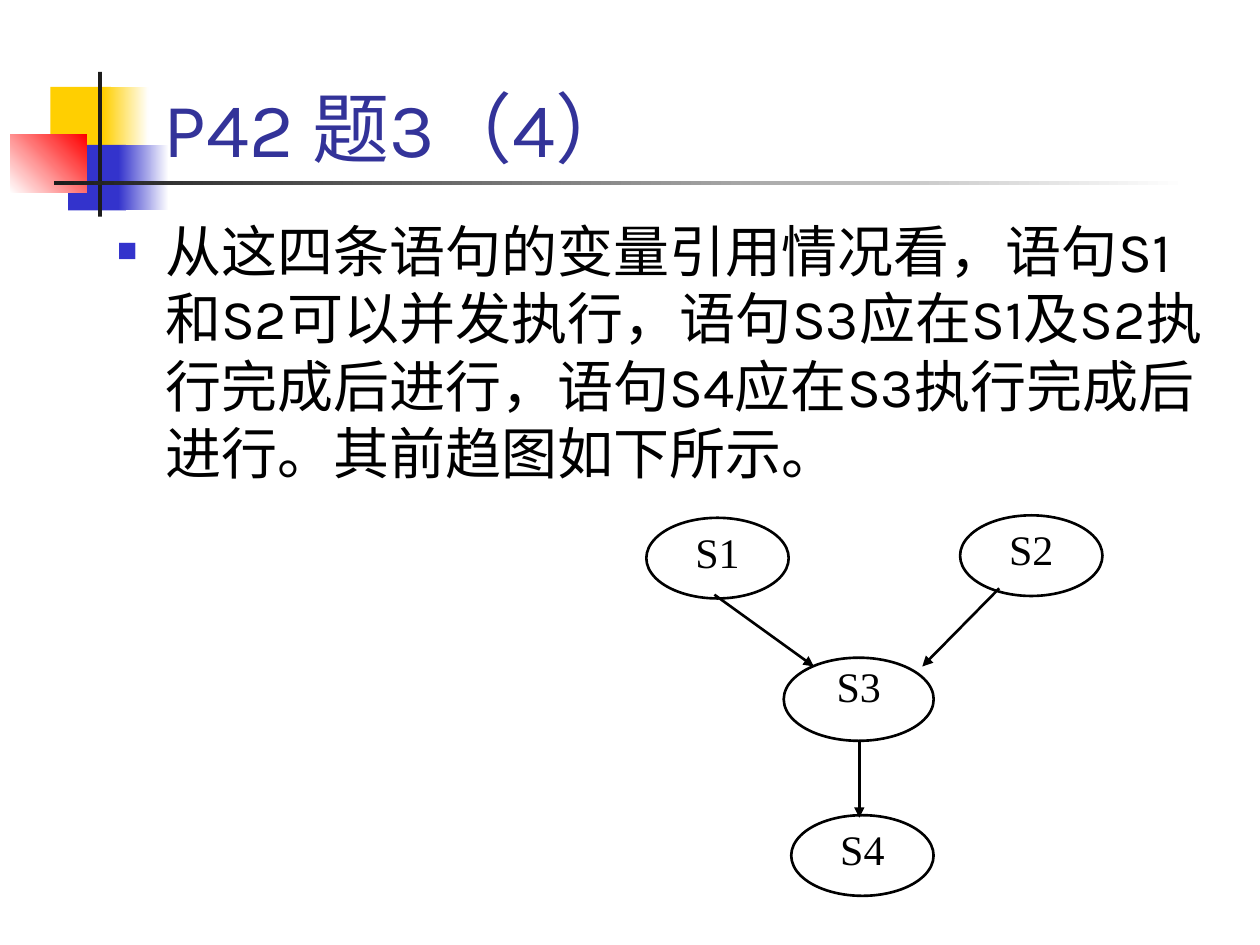
from dataclasses import dataclass

from lxml import etree
from pptx import Presentation
from pptx import util as u
from pptx.dml.color import RGBColor
from pptx.enum import shapes, text
from pptx.oxml import ns


@dataclass(frozen=True)
class Theme:
    black: str = "000000"
    white: str = "FFFFFF"
    title: str = "333399"
    blue: str = "3333CC"
    yellow: str = "FFCF01"
    red: str = "FF0000"
    rule: str = "1C1C1C"
    text_font: str = "Karla"
    node_font: str = "Times New Roman"
    title_size: int = 44
    body_size: int = 32
    node_size: int = 24
    line_width: float = 1.5


THEME = Theme()
COLUMNS, ROWS = 100, 75


def add_element(parent, tag, **attributes):
    return etree.SubElement(parent, ns.qn(tag), attributes)


def write_text(frame, content, *, font, size, color, align=text.PP_ALIGN.LEFT,
               anchor=text.MSO_ANCHOR.TOP, line_spacing=None, space_before=0):
    """Write one formatted paragraph and return it."""
    frame.word_wrap = True
    frame.auto_size = text.MSO_AUTO_SIZE.NONE
    frame.vertical_anchor = anchor
    paragraph = frame.paragraphs[0]
    paragraph.alignment = align
    paragraph.line_spacing = line_spacing
    paragraph.space_before = u.Pt(space_before)
    run = paragraph.add_run()
    run.text = content
    run.font.name = font
    run.font.size = u.Pt(size)
    run.font.color.rgb = RGBColor.from_string(color)
    return paragraph


class SlideBuilder:
    def __init__(self, presentation, theme):
        self.theme = theme
        self.column = presentation.slide_width / COLUMNS
        self.row = presentation.slide_height / ROWS
        self.slide = presentation.slides.add_slide(presentation.slide_layouts[1])

    def place(self, left, top, width, height):
        """Turn grid columns and rows into lengths."""
        return (u.Emu(round(left * self.column)), u.Emu(round(top * self.row)),
                u.Emu(round(width * self.column)), u.Emu(round(height * self.row)))

    def move(self, shape, box):
        shape.left, shape.top, shape.width, shape.height = self.place(*box)

    def title(self, content, box):
        shape = self.slide.shapes.title
        self.move(shape, box)
        write_text(shape.text_frame, content, font=self.theme.text_font,
                   size=self.theme.title_size, color=self.theme.title,
                   anchor=text.MSO_ANCHOR.BOTTOM)

    def body(self, content, box):
        shape = self.slide.placeholders[1]
        self.move(shape, box)
        paragraph = write_text(shape.text_frame, content, font=self.theme.text_font,
                               size=self.theme.body_size, color=self.theme.black,
                               space_before=8)
        # Square bullet with a hanging indent
        properties = paragraph._p.get_or_add_pPr()
        indent = u.Inches(0.38)
        properties.set("marL", str(indent))
        properties.set("indent", str(-indent))
        bullet_color = add_element(properties, "a:buClr")
        add_element(bullet_color, "a:srgbClr", val=self.theme.blue)
        add_element(properties, "a:buSzPct", val="60000")
        add_element(properties, "a:buChar", char="■")

    def block(self, box, color, fade_to=None, angle=0):
        """Add a borderless rectangle, plain or fading to a second colour."""
        shape = self.slide.shapes.add_shape(shapes.MSO_SHAPE.RECTANGLE, *self.place(*box))
        shape.shadow.inherit = False
        shape.line.fill.background()
        if fade_to is None:
            shape.fill.solid()
            shape.fill.fore_color.rgb = RGBColor.from_string(color)
            return
        shape.fill.gradient()
        shape.fill.gradient_angle = angle
        for stop, position, value in zip(shape.fill.gradient_stops, (0, 1), (color, fade_to)):
            stop.position = position
            stop.color.rgb = RGBColor.from_string(value)

    def node(self, label, box, line_spacing=0.96):
        shape = self.slide.shapes.add_shape(shapes.MSO_SHAPE.OVAL, *self.place(*box))
        shape.shadow.inherit = False
        shape.fill.solid()
        shape.fill.fore_color.rgb = RGBColor.from_string(self.theme.white)
        self.outline(shape)
        frame = shape.text_frame
        frame.margin_left = frame.margin_right = frame.margin_top = frame.margin_bottom = 0
        write_text(frame, label, font=self.theme.node_font, size=self.theme.node_size,
                   color=self.theme.black, align=text.PP_ALIGN.CENTER,
                   line_spacing=line_spacing)

    def arrow(self, start, end):
        connector = self.slide.shapes.add_connector(
            shapes.MSO_CONNECTOR.STRAIGHT, *self.place(*start, *end))
        self.outline(connector)
        add_element(connector.line._get_or_add_ln(), "a:tailEnd", type="triangle")
        add_element(connector._element.spPr, "a:effectLst")

    def outline(self, shape):
        shape.line.color.rgb = RGBColor.from_string(self.theme.black)
        shape.line.width = u.Pt(self.theme.line_width)


def main():
    presentation = Presentation()
    presentation.slide_width, presentation.slide_height = u.Inches(10), u.Inches(7.5)
    slide = SlideBuilder(presentation, THEME)

    # Corner decoration and title rule
    slide.block((4, 6.9, 4.8, 5.2), THEME.yellow)
    slide.block((8.2, 6.9, 3.6, 5.2), THEME.yellow, fade_to=THEME.white)
    slide.block((5.4, 11.5, 4.6, 5.2), THEME.blue)
    slide.block((9.4, 11.5, 4, 5.2), THEME.blue, fade_to=THEME.white)
    slide.block((0.8, 10.7, 6.1, 4.6), THEME.white, fade_to=THEME.red, angle=45)
    slide.block((7.8, 5.7, 0.3, 11.5), THEME.rule)
    slide.block((4.3, 14.4, 90, 0.3), THEME.rule, fade_to=THEME.white)

    # Title and explanation
    slide.title("P42 题3（4）", (12, 1.7, 85.2, 12.5))
    slide.body("从这四条语句的变量引用情况看，语句S1和S2可以并发执行，"
               "语句S3应在S1及S2执行完成后进行，语句S4应在S3执行完成后进行。"
               "其前趋图如下所示。", (8.3, 16.7, 89.2, 24.8))

    # Precedence graph
    node_size = (11.3, 6.4)
    slide.node("S1", (51.3, 41.1, *node_size))
    slide.node("S2", (76.2, 40.9, *node_size))
    slide.node("S3", (62.2, 52.2, 11.9, 6.6), line_spacing=0.8)
    slide.node("S4", (62.8, 64.7, *node_size))
    slide.arrow((56.7, 47.2), (64.6, 52.9))
    slide.arrow((79.3, 46.7), (73.2, 52.9))
    slide.arrow((68.2, 58.9), (68.2, 64.9))

    # Decoration lies behind the placeholders
    tree = slide.slide.shapes._spTree
    for shape in (slide.slide.shapes.title, slide.slide.placeholders[1]):
        tree.append(shape._element)

    presentation.save("out.pptx")


if __name__ == "__main__":
    main()
